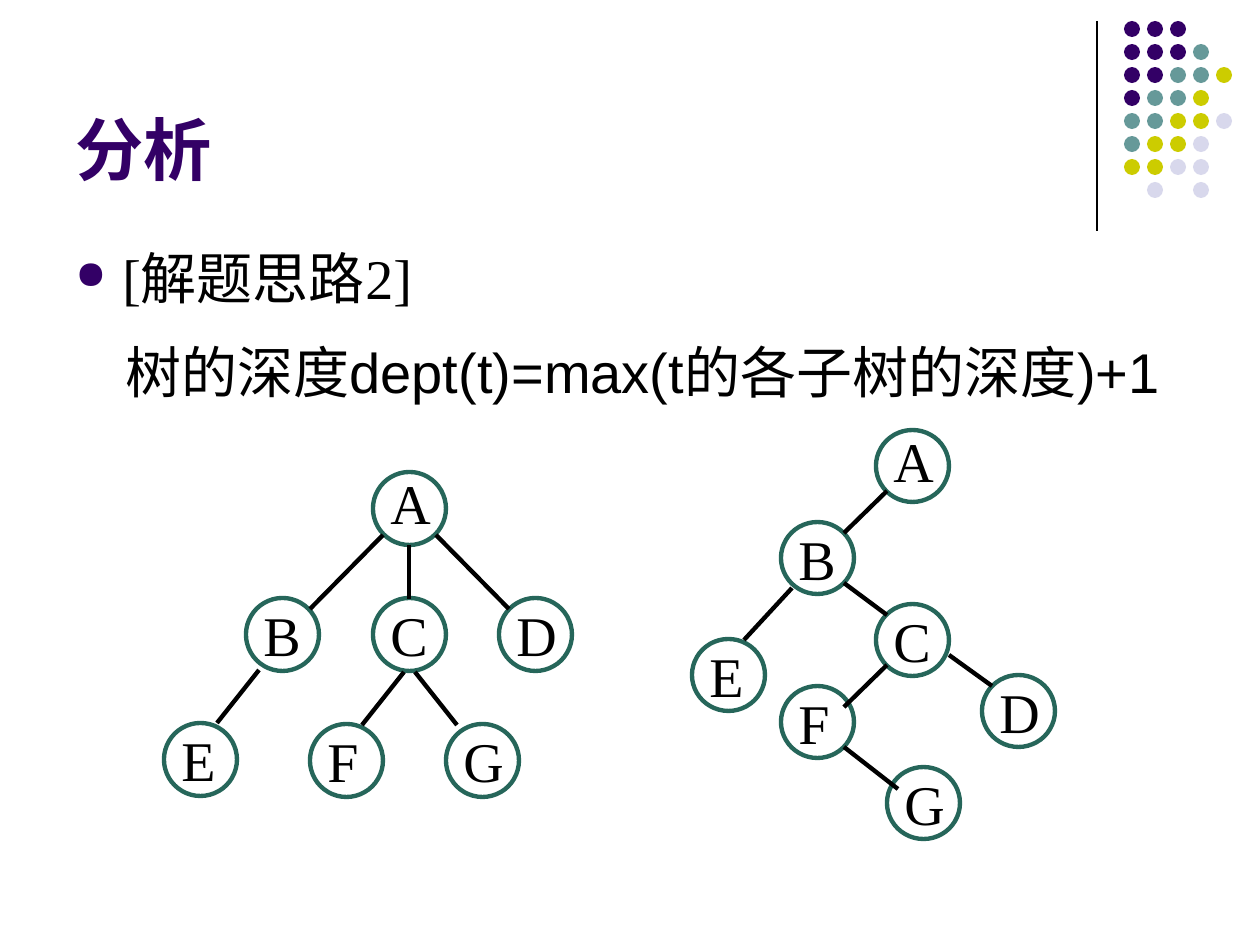
"""Builds a slide on tree depth: a general tree beside its binary form."""
from lxml.etree import SubElement
from pptx import Presentation
from pptx.dml.color import RGBColor
from pptx.enum.shapes import MSO_CONNECTOR, MSO_SHAPE
from pptx.enum.text import MSO_ANCHOR, MSO_AUTO_SIZE
from pptx.oxml.ns import qn
from pptx.util import Emu, Pt

COLOURS = {
    "P": "330066", "T": "669999", "Y": "CCCC00", "L": "D8D8EC",
    "ring": "26665A", "ink": "000000",
}
TITLE = "分析"
HEADING = "[解题思路2]"
FORMULA = "树的深度dept(t)=max(t的各子树的深度)+1"
DOT_ROWS = ["PPP", "PPPT", "PPTTY", "PTTY", "TTYYL", "TYYL", "YYLL", " L L"]
TREES = [
    {
        "node_height": 73,
        "nodes": {"A": (373, 472), "B": (246, 598), "C": (373, 598), "D": (499, 598),
                  "E": (164, 723), "F": (310, 724), "G": (446, 724)},
        "edges": [(409, 545, 409, 599), (383, 535, 310, 609), (436, 535, 509, 609),
                  (404, 672, 362, 725), (415, 672, 457, 725), (259, 670, 217, 723)],
    },
    {
        "node_height": 72,
        "nodes": {"A": (876, 430), "B": (781, 522), "C": (876, 604), "D": (982, 675),
                  "E": (692, 639), "F": (781, 686), "G": (887, 767)},
        "edges": [(887, 491, 844, 533), (844, 583, 887, 615), (887, 665, 844, 707),
                  (844, 747, 898, 789), (949, 655, 992, 686), (792, 588, 744, 640)],
    },
]
TITLE_FONT = {"size": Pt(39), "name": "Arial", "bold": True}
SERIF_FONT = {"size": Pt(32), "name": "Times New Roman"}
SANS_FONT = {"size": Pt(32), "name": "Arial"}
NODE_WIDTH = 73
DOT_SIZE, DOT_PITCH = 16, 23
DOT_LEFT, DOT_TOP = 1124, 21


def px(length):
    return Emu(round(length * 914400 / 126))


def style(target, formats):
    for name, value in formats.items():
        setattr(target, name, value)


def rgb(key):
    return RGBColor.from_string(COLOURS[key])


def add_text_frame(shapes, box, formats):
    frame = shapes.add_textbox(*map(px, box)).text_frame
    style(frame, {"word_wrap": True, **formats})
    return frame


def write(paragraph, text, font, colour, formats):
    run = paragraph.add_run()
    run.text = text
    style(run.font, font)
    run.font.color.rgb = rgb(colour)
    style(paragraph, formats)


def indent(paragraph, left, first):
    properties = paragraph._p.get_or_add_pPr()
    properties.set("marL", str(px(left)))
    properties.set("indent", str(px(first)))
    return properties


def add_bullet(paragraph):
    properties = indent(paragraph, 47, -47)
    colour = SubElement(properties, qn("a:buClr"))
    SubElement(colour, qn("a:srgbClr"), val=COLOURS["P"])
    SubElement(properties, qn("a:buSzPct"), val="70000")
    SubElement(properties, qn("a:buChar"), char="●")


def add_line(shapes, ends, width):
    line = shapes.add_connector(MSO_CONNECTOR.STRAIGHT, *map(px, ends))
    line.line.color.rgb = rgb("ink")
    line.line.width = Pt(width)
    SubElement(line._element.spPr, qn("a:effectLst"))


def add_ellipse(shapes, box):
    ellipse = shapes.add_shape(MSO_SHAPE.OVAL, *map(px, box))
    ellipse.shadow.inherit = False
    return ellipse


def add_dots(slide):
    shapes = slide.shapes.add_group_shape().shapes
    for row, keys in enumerate(DOT_ROWS):
        for column, key in enumerate(keys):
            if key in COLOURS:
                left = DOT_LEFT + column * DOT_PITCH
                top = DOT_TOP + row * DOT_PITCH
                dot = add_ellipse(shapes, (left, top, DOT_SIZE, DOT_SIZE))
                dot.fill.solid()
                dot.fill.fore_color.rgb = rgb(key)
                dot.line.fill.background()


def add_tree(slide, tree):
    shapes = slide.shapes.add_group_shape().shapes
    for letter, (left, top) in tree["nodes"].items():
        ring = add_ellipse(shapes, (left, top, NODE_WIDTH, tree["node_height"]))
        ring.fill.background()
        ring.line.color.rgb = rgb("ring")
        ring.line.width = Pt(2.5)
        height, spacing = (81, 1.0) if letter == "A" else (87, 1.1)
        label = add_text_frame(shapes, (left + 5, top - 10, NODE_WIDTH, height),
                               {"auto_size": MSO_AUTO_SIZE.SHAPE_TO_FIT_TEXT})
        write(label.paragraphs[0], letter, SERIF_FONT, "ink",
              {"space_before": Pt(20), "line_spacing": spacing})
    for ends in tree["edges"]:
        add_line(shapes, ends, 2.5)


def main():
    deck = Presentation()
    style(deck, {"slide_width": px(1260), "slide_height": px(945)})
    slide = deck.slides.add_slide(deck.slide_layouts[6])

    add_line(slide.shapes, (1097, 21, 1097, 231), 0.75)
    add_dots(slide)

    title = add_text_frame(slide.shapes, (63, 16, 1040, 179),
                           {"vertical_anchor": MSO_ANCHOR.BOTTOM})
    write(title.paragraphs[0], TITLE, TITLE_FONT, "P", {})

    body = add_text_frame(slide.shapes, (63, 237, 1134, 607), {})
    heading, formula = body.paragraphs[0], body.add_paragraph()
    write(heading, HEADING, SERIF_FONT, "ink", {"space_before": Pt(8)})
    add_bullet(heading)
    write(formula, FORMULA, SANS_FONT, "ink",
          {"space_before": Pt(8), "line_spacing": 1.2})
    indent(formula, 47, 3)

    for tree in TREES:
        add_tree(slide, tree)
    deck.save("out.pptx")


if __name__ == "__main__":
    main()
